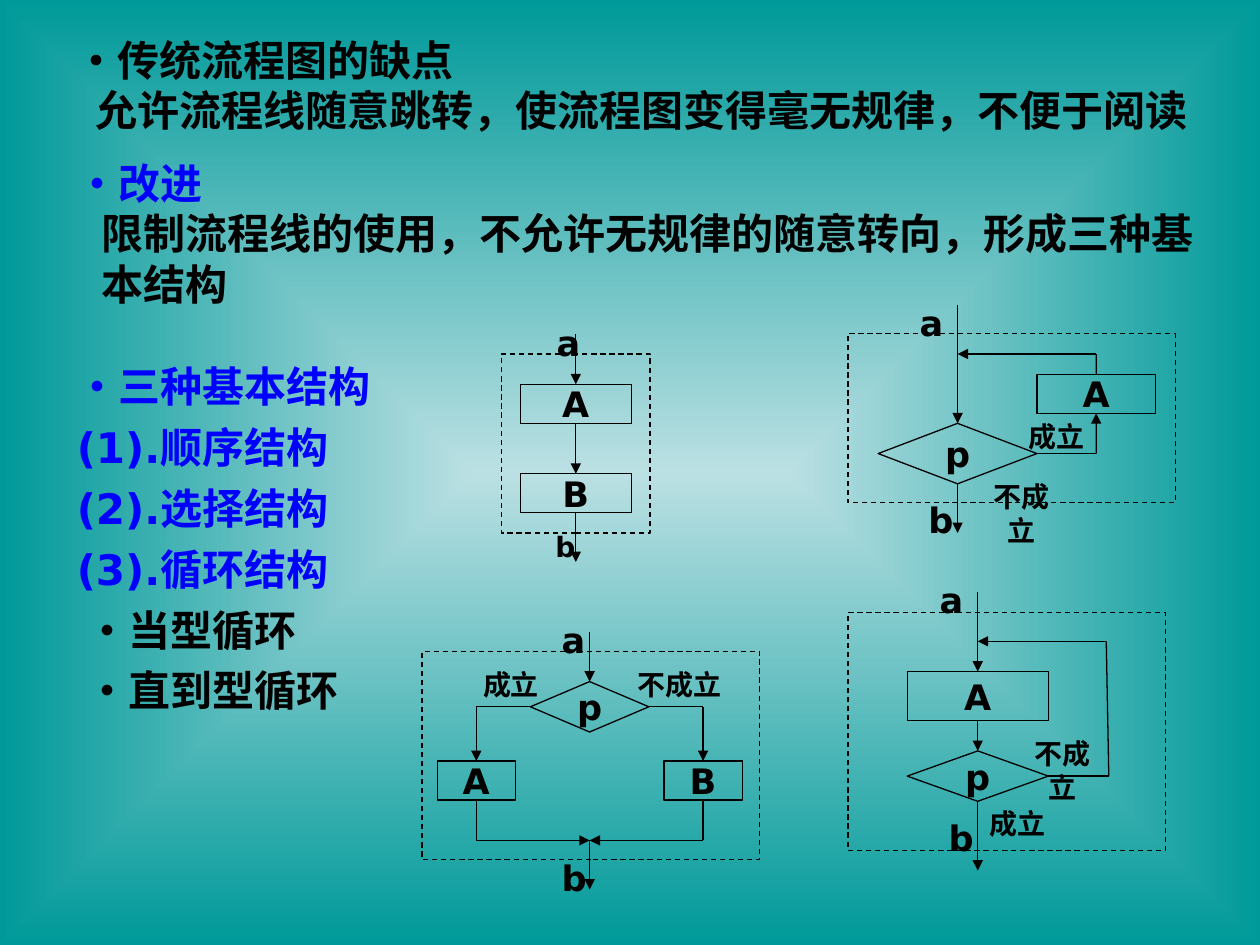
from typing import NamedTuple

from lxml import etree
from pptx import Presentation
from pptx.dml.color import RGBColor
from pptx.enum.dml import MSO_LINE
from pptx.enum.shapes import MSO_CONNECTOR, MSO_SHAPE
from pptx.enum.text import MSO_ANCHOR, MSO_AUTO_SIZE, PP_ALIGN
from pptx.oxml.ns import qn
from pptx.util import Inches, Pt

BOX = MSO_SHAPE.FLOWCHART_PROCESS
TEST = MSO_SHAPE.FLOWCHART_DECISION
FRAME = MSO_SHAPE.RECTANGLE
STRAIGHT = MSO_CONNECTOR.STRAIGHT
DASH = MSO_LINE.DASH
LEFT, CENTER = PP_ALIGN.LEFT, PP_ALIGN.CENTER
TOP, MIDDLE = MSO_ANCHOR.TOP, MSO_ANCHOR.MIDDLE
FIXED = MSO_AUTO_SIZE.NONE

FONT = "DejaVu Sans"
BLACK, BLUE = "000000", "0000FF"
PALE, TEAL = "BBE0E3", "009999"
YES, NO = "成立", "不成立"


class Line(NamedTuple):
    """One paragraph; hang is how far its first line stands out."""
    text: str
    color: str = BLACK
    left: float = 0
    hang: float = 0
    before: float = 0


class Label(NamedTuple):
    text: str
    x: float
    y: float
    wide: float = 0.37
    size: int = 20


class Port(NamedTuple):
    """Side of a shape: 0 top, 1 left, 2 bottom, 3 right."""
    shape: object
    side: int


def rgb(code: str) -> RGBColor:
    return RGBColor.from_string(code)


def area(x: float, y: float, w: float, h: float) -> tuple:
    return Inches(x), Inches(y), Inches(w), Inches(h)


def place(shape, x: float, y: float, w: float, h: float) -> None:
    shape.left, shape.top, shape.width, shape.height = area(x, y, w, h)


def add_run(para, text: str, size: float, color: str = BLACK) -> None:
    run = para.add_run()
    run.text = text
    font = run.font
    font.name, font.size, font.bold = FONT, Pt(size), True
    font.color.rgb = rgb(color)


def write(frame, lines: list[Line], anchor=TOP) -> None:
    frame.word_wrap = True
    frame.auto_size = FIXED
    frame.vertical_anchor = anchor
    for i, line in enumerate(lines):
        para = frame.add_paragraph() if i else frame.paragraphs[0]
        para.alignment = LEFT
        para.space_before = Pt(line.before)
        props = para._p.get_or_add_pPr()
        props.set("marL", str(Inches(line.left)))
        props.set("indent", str(-Inches(line.hang)))
        etree.SubElement(props, qn("a:buNone"))
        add_run(para, line.text, 24, line.color)


def center(frame, text: str, size: float, anchor) -> None:
    frame.word_wrap = False
    frame.vertical_anchor = anchor
    para = frame.paragraphs[0]
    para.alignment = CENTER
    add_run(para, text, size)


def node(group, kind, x: float, y: float, w: float, h: float, text: str = ""):
    shape = group.shapes.add_shape(kind, *area(x, y, w, h))
    shape.shadow.inherit = False
    shape.fill.background()
    shape.line.color.rgb = rgb(BLACK)
    shape.line.width = Pt(0.75)
    if text:
        center(shape.text_frame, text, 20, MIDDLE)
    else:
        shape.line.dash_style = DASH
    return shape


def spot(end) -> tuple:
    if not isinstance(end, Port):
        return Inches(end[0]), Inches(end[1])
    box = end.shape
    dx, dy = ((1, 0), (0, 1), (1, 2), (2, 1))[end.side]
    return box.left + box.width * dx // 2, box.top + box.height * dy // 2


def wire(group, *ends, arrow: bool = True) -> None:
    """Join the ends in turn; the last stretch carries the arrowhead."""
    for i, (a, b) in enumerate(zip(ends, ends[1:]), 2):
        link = group.shapes.add_connector(STRAIGHT, *spot(a), *spot(b))
        if isinstance(a, Port):
            link.begin_connect(*a)
        if isinstance(b, Port):
            link.end_connect(*b)
        link.line.color.rgb = rgb(BLACK)
        link.line.width = Pt(0.75)
        if arrow and i == len(ends):
            tail = etree.SubElement(link.line._get_or_add_ln(), qn("a:tailEnd"))
            tail.set("type", "triangle")
        etree.SubElement(link._element.spPr, qn("a:effectLst"))


def tag(group, *labels: Label) -> None:
    for item in labels:
        high = 0.44 if item.size == 20 else 0.37
        box = group.shapes.add_textbox(*area(item.x, item.y, item.wide, high))
        center(box.text_frame, item.text, item.size, TOP)


def draw_row(group) -> None:
    first = node(group, BOX, 4.13, 3.05, 0.88, 0.31, "A")
    last = node(group, BOX, 4.13, 3.76, 0.88, 0.31, "B")
    wire(group, (4.57, 2.65), Port(first, 0))
    wire(group, Port(first, 2), Port(last, 0))
    wire(group, Port(last, 2), (4.57, 4.46))
    node(group, FRAME, 3.98, 2.81, 1.18, 1.42)
    tag(group, Label("a", 4.32, 2.5, 0.31), Label("b", 4.31, 4.15, 0.31, 16))


def draw_fork(group) -> None:
    test = node(group, TEST, 4.21, 5.41, 0.94, 0.4, "p")
    wire(group, (4.68, 5.02), Port(test, 0))
    for text, x, side in (("A", 3.78, 1), ("B", 5.58, 3)):
        box = node(group, BOX, x - 0.31, 6.04, 0.62, 0.31, text)
        wire(group, Port(test, side), (x, 5.61), Port(box, 0))
        wire(group, Port(box, 2), (x, 6.67), (4.68, 6.67))
    wire(group, (4.68, 6.67), (4.68, 7.06))
    node(group, FRAME, 3.35, 5.17, 2.68, 1.65)
    tag(group, Label("a", 4.36, 4.86), Label("b", 4.36, 6.75),
        Label(YES, 3.66, 5.25, 0.79, 16), Label(NO, 4.92, 5.25, 0.94, 16))


def draw_while(group) -> None:
    test = node(group, TEST, 6.97, 3.36, 1.26, 0.48, "p")
    box = node(group, BOX, 8.23, 2.97, 0.94, 0.31, "A")
    wire(group, (7.6, 2.42), Port(test, 0))
    wire(group, Port(test, 3), (8.7, 3.6), Port(box, 2))
    wire(group, Port(box, 0), (8.7, 2.81), (7.6, 2.81))
    wire(group, Port(test, 2), (7.6, 4.23))
    node(group, FRAME, 6.73, 2.65, 2.6, 1.34)
    tag(group, Label("a", 7.2, 2.34), Label("b", 7.27, 3.91),
        Label(YES, 7.99, 3.28, 0.79, 16), Label(NO, 7.68, 3.76, 0.86, 16))


def draw_until(group) -> None:
    box = node(group, BOX, 7.2, 5.33, 1.12, 0.39, "A")
    test = node(group, TEST, 7.2, 5.96, 1.12, 0.4, "p")
    wire(group, (7.76, 4.7), Port(box, 0))
    wire(group, Port(box, 2), Port(test, 0))
    wire(group, Port(test, 2), (7.76, 6.91))
    wire(group, Port(test, 3), (8.8, 6.16), (8.78, 5.09), (7.76, 5.09))
    node(group, FRAME, 6.73, 4.86, 2.52, 1.89)
    tag(group, Label("a", 7.36, 4.54), Label("b", 7.43, 6.43),
        Label(YES, 7.68, 6.35, 0.79, 16), Label(NO, 8, 5.8, 0.86, 16))


def paint(slide) -> None:
    fill = slide.background.fill
    fill.gradient()
    for stop, code in zip(fill.gradient_stops, (PALE, TEAL)):
        stop.color.rgb = rgb(code)
    grad = slide.element.find(".//" + qn("a:gradFill"))
    grad.remove(grad.find(qn("a:lin")))
    glow = etree.SubElement(grad, qn("a:path"))
    glow.set("path", "rect")
    rect = etree.SubElement(glow, qn("a:fillToRect"))
    for side in "ltrb":
        rect.set(side, "50000")


def main() -> None:
    deck = Presentation()
    deck.slide_width, deck.slide_height = Inches(10), Inches(7.5)
    slide = deck.slides.add_slide(deck.slide_layouts[1])
    paint(slide)

    # Title and list
    title, body = slide.shapes.title, slide.placeholders[1]
    place(title, 0.5, 0.22, 9.15, 0.9)
    write(title.text_frame, [
        Line("•传统流程图的缺点"),
        Line("允许流程线随意跳转，使流程图变得毫无规律，不便于阅读", left=0.16)], MIDDLE)
    place(body, 0.51, 2.81, 2.68, 2.92)
    names = ("•三种基本结构", "(1).顺序结构", "(2).选择结构", "(3).循环结构")
    lines = [Line(name, BLUE, 0.37, 0.37, 6 if i else 0) for i, name in enumerate(names)]
    lines += [Line(name, BLACK, 0.45, 0.37, 6) for name in ("•当型循环", "•直到型循环")]
    write(body.text_frame, lines)

    # The four flow charts
    for draw in (draw_row, draw_fork, draw_while, draw_until):
        draw(slide.shapes.add_group_shape())

    # Remedy
    note = slide.shapes.add_textbox(*area(0.51, 1.2, 9.1, 1.3))
    write(note.text_frame, [
        Line("•改进", BLUE, 0.2, 0.2),
        Line("限制流程线的使用，不允许无规律的随意转向，形成三种基本结构", left=0.2)])
    deck.save("out.pptx")


if __name__ == "__main__":
    main()
